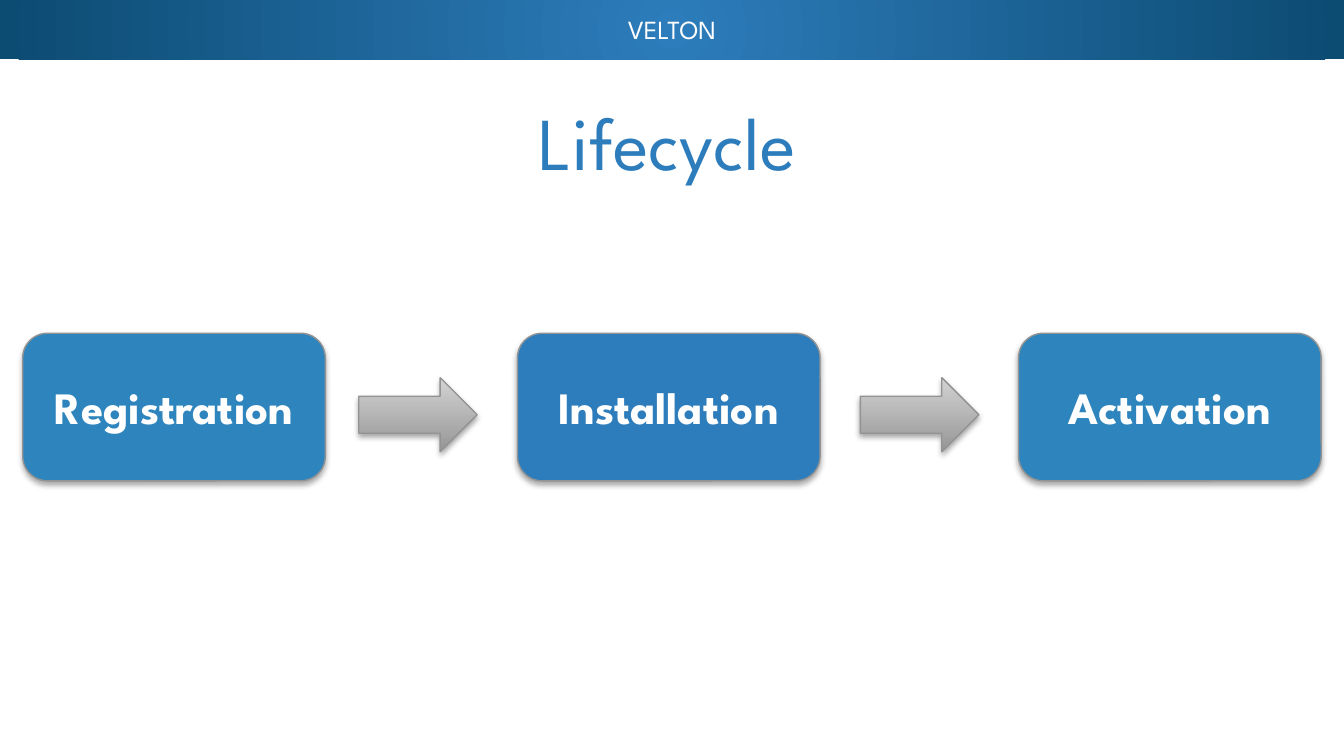
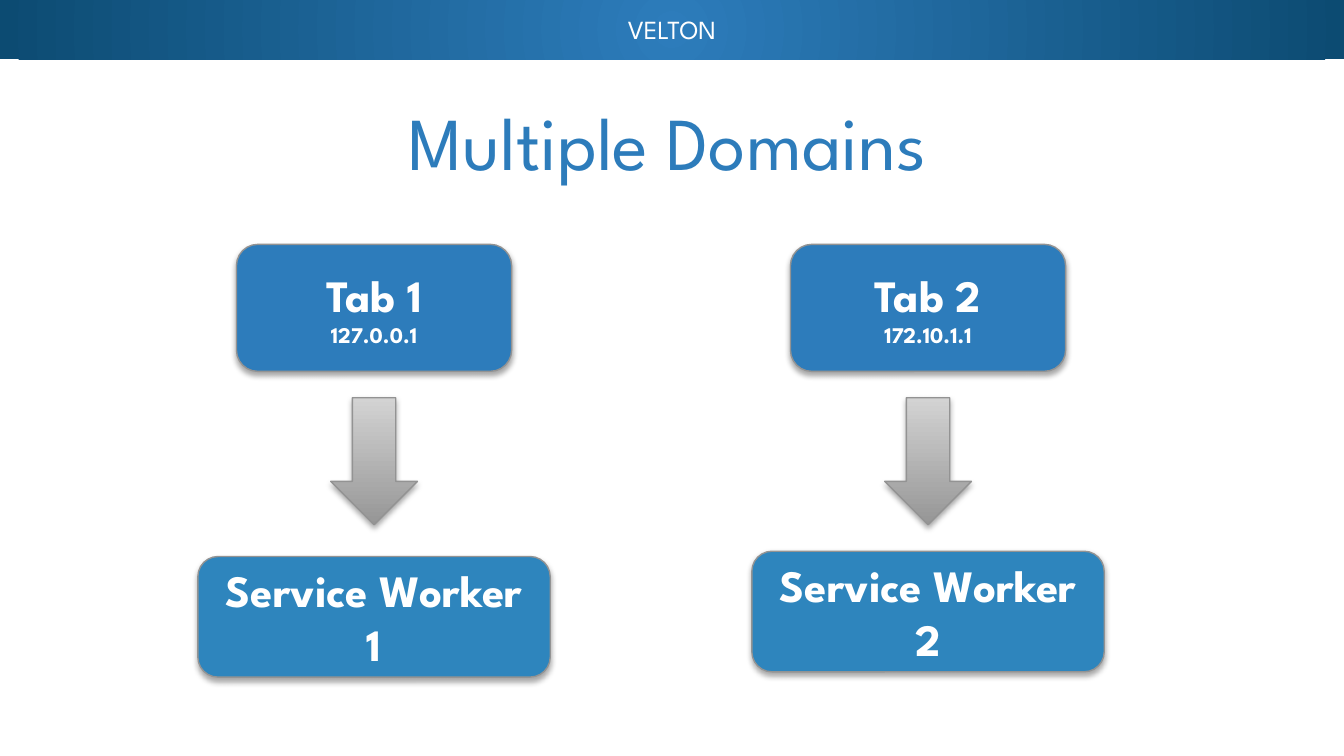
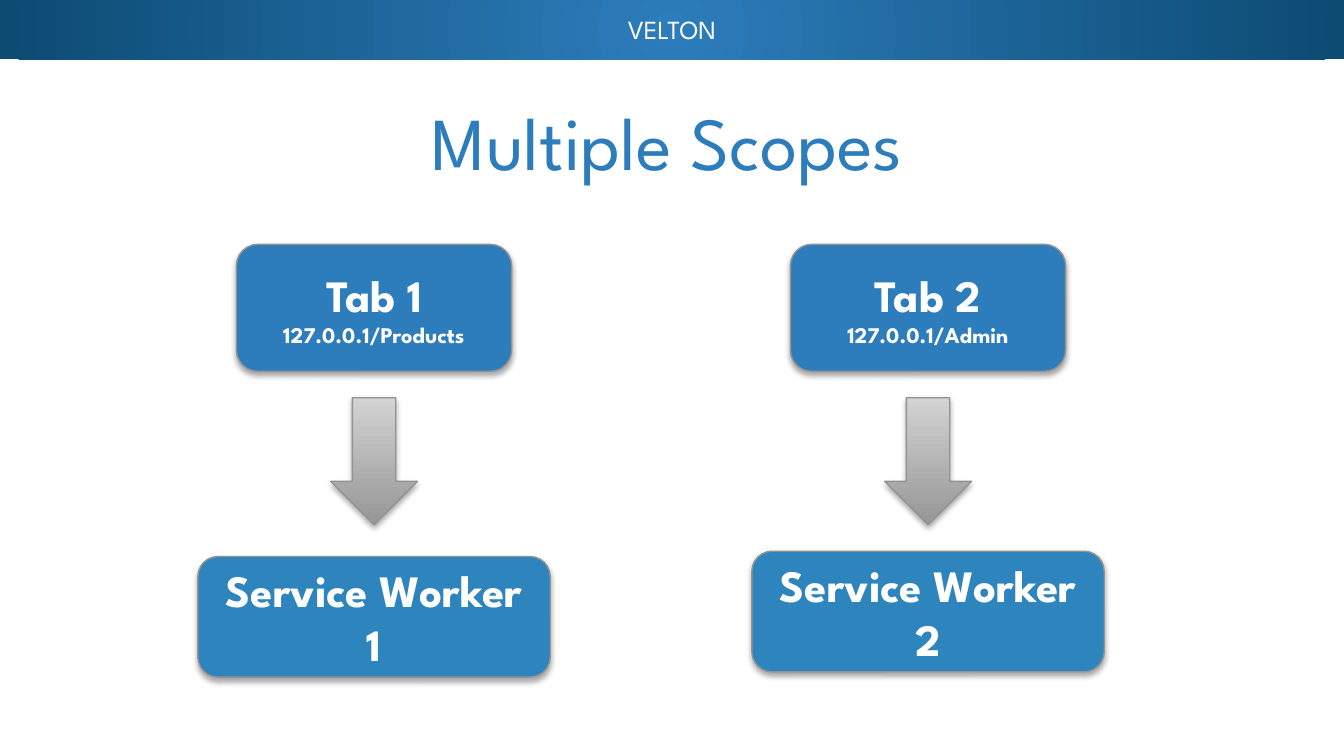
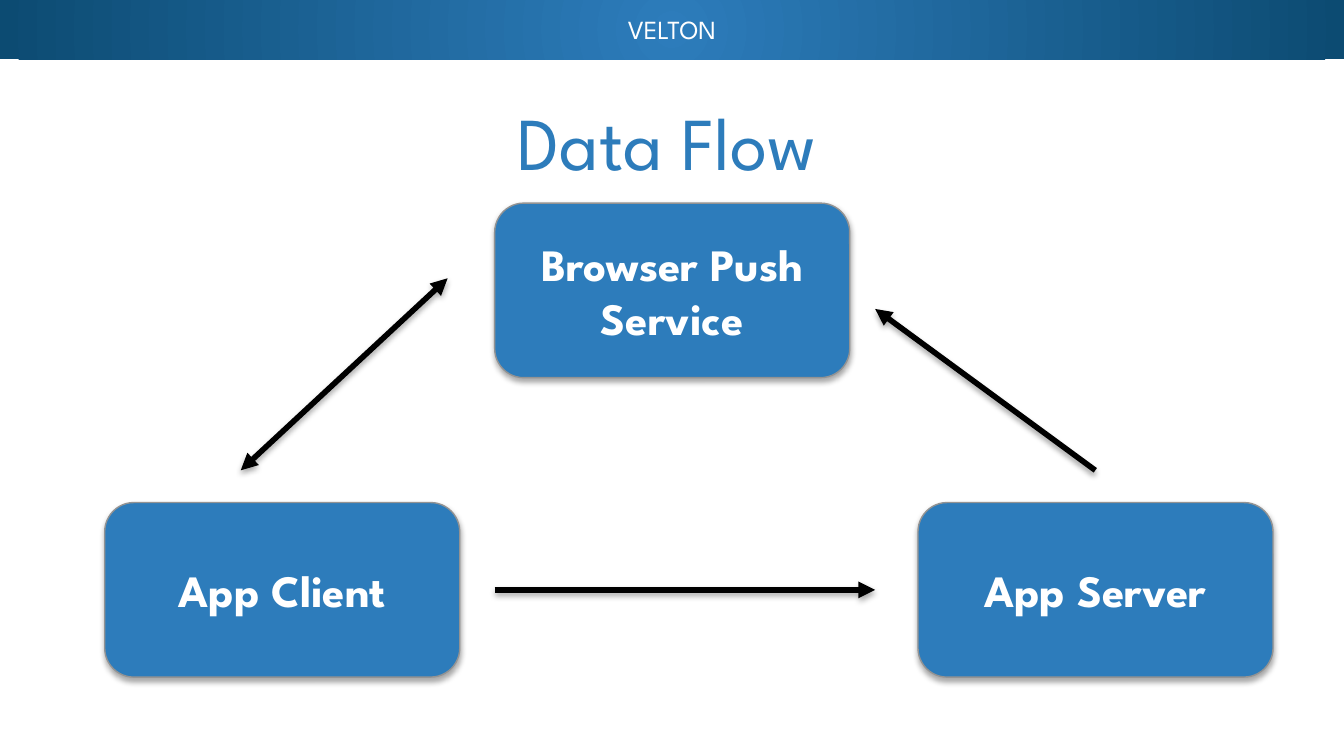
from lxml.etree import SubElement
from pptx import Presentation
from pptx.dml.color import RGBColor
from pptx.enum.shapes import MSO_CONNECTOR, MSO_SHAPE
from pptx.enum.text import MSO_ANCHOR, PP_ALIGN
from pptx.oxml.ns import qn
from pptx.util import Cm, Pt

FONT = "League Spartan"
BRAND = "VELTON"
WIDE, HIGH = 25.4, 14.29
COLORS = {
    "blue": "2D7CBB",
    "teal": "2E85BD",
    "navy": "0C4B72",
    "edge": "939393",
    "dark": "969696",
    "pale": "D3D3D3",
    "black": "000000",
    "white": "FFFFFF",
}


def rgb(name):
    return RGBColor.from_string(COLORS[name])


def write(shape, *lines, sizes=(24,), color="white", bold=False,
          anchor=MSO_ANCHOR.MIDDLE):
    """Fill a shape with centred lines, one size for each line."""
    frame = shape.text_frame
    frame.word_wrap = True
    frame.vertical_anchor = anchor
    for i, (line, size) in enumerate(zip(lines, sizes)):
        para = frame.add_paragraph() if i else frame.paragraphs[0]
        para.alignment = PP_ALIGN.CENTER
        run = para.add_run()
        run.text = line
        font = run.font
        font.name, font.size, font.bold = FONT, Pt(size), bold
        font.color.rgb = rgb(color)


def label(slide, text, left, top, width, height, **style):
    box = slide.shapes.add_textbox(Cm(left), Cm(top), Cm(width), Cm(height))
    write(box, text, **style)
    return box


def blend(shape, first, last, angle=0):
    """Give a shape a gradient of two colours."""
    shape.fill.gradient()
    shape.fill.gradient_angle = angle
    for stop, name in zip(shape.fill.gradient_stops, (first, last)):
        stop.color.rgb = rgb(name)


def shade(item):
    """Add a soft shadow below; call after fill and line are set."""
    effects = SubElement(item._element.spPr, qn("a:effectLst"))
    outer = SubElement(effects, qn("a:outerShdw"), blurRad="40000",
                       dist="23000", dir="5400000", rotWithShape="0")
    tint = SubElement(outer, qn("a:srgbClr"), val=COLORS["black"])
    SubElement(tint, qn("a:alpha"), val="35000")


def form(slide, kind, left, top, width, height):
    shape = slide.shapes.add_shape(kind, Cm(left), Cm(top), Cm(width), Cm(height))
    shape.line.color.rgb = rgb("edge")
    shape.line.width = Pt(0.75)
    return shape


def card(slide, lines, left, top, width, height, fill="blue"):
    shape = form(slide, MSO_SHAPE.ROUNDED_RECTANGLE, left, top, width, height)
    shape.fill.solid()
    shape.fill.fore_color.rgb = rgb(fill)
    shade(shape)
    write(shape, *lines, sizes=(24, 12), bold=True)


def arrow(slide, kind, left, top, width, height):
    shape = form(slide, kind, left, top, width, height)
    blend(shape, "dark", "pale", angle=90)
    shade(shape)


def link(slide, start, end, both=False):
    line = slide.shapes.add_connector(
        MSO_CONNECTOR.STRAIGHT, *(Cm(n) for n in (*start, *end)))
    line.line.color.rgb = rgb("black")
    line.line.width = Pt(3)
    stroke = line._element.spPr.find(qn("a:ln"))
    for tag in ("a:headEnd", "a:tailEnd") if both else ("a:tailEnd",):
        SubElement(stroke, qn(tag), type="triangle")
    shade(line)


def band(slide):
    """Top band, shaded outward from its centre, with the brand name."""
    bar = slide.shapes.add_shape(MSO_SHAPE.RECTANGLE, 0, 0, Cm(WIDE), Cm(1.12))
    bar.shadow.inherit = False
    bar.line.fill.background()
    blend(bar, "blue", "navy")
    grad = bar._element.spPr.find(qn("a:gradFill"))
    grad.remove(grad.find(qn("a:lin")))
    ring = SubElement(grad, qn("a:path"), path="circle")
    SubElement(ring, qn("a:fillToRect"), l="50000", t="50000", r="50000", b="50000")
    label(slide, BRAND, 0, -0.3, WIDE, 1.27, sizes=(14,), anchor=MSO_ANCHOR.BOTTOM)


def start(deck, title):
    slide = deck.slides.add_slide(deck.slide_layouts[6])
    band(slide)
    head = label(slide, title, 1.19, 1.47, 22.86, 2.39, sizes=(40,), color="blue")
    frame = head.text_frame
    frame.margin_left, frame.margin_right = Cm(0.18), Cm(0.2)
    frame.margin_top = frame.margin_bottom = Cm(0.1)
    return slide


def cycle(deck):
    slide = start(deck, "Lifecycle")
    steps = (("Registration", 0.43, "teal"), ("Installation", 9.78, "blue"),
             ("Activation", 19.25, "teal"))
    for name, left, fill in steps:
        card(slide, [name], left, 6.3, 5.72, 2.79, fill)
    for left in (6.78, 16.26):
        arrow(slide, MSO_SHAPE.RIGHT_ARROW, left, 7.14, 2.24, 1.4)


def tabs(deck, title, hosts):
    """One column for each host: tab, arrow and service worker."""
    slide = start(deck, title)
    for i, host in enumerate(hosts):
        mid = 7.07 + i * 10.47
        card(slide, [f"Tab {i + 1}", host], mid - 2.6, 4.62, 5.2, 2.4)
        card(slide, [f"Service Worker {i + 1}"],
             mid - 3.33, 10.52 - i * 0.1, 6.66, 2.28, "teal")
        arrow(slide, MSO_SHAPE.DOWN_ARROW, mid - 0.82, 7.52, 1.64, 2.4)


def flow(deck):
    slide = start(deck, "Data Flow")
    nodes = (("App Client", 1.98, 9.5), ("App Server", 17.35, 9.5),
             ("Browser Push Service", 9.35, 3.84))
    for name, left, top in nodes:
        card(slide, [name], left, top, 6.71, 3.3)
    link(slide, (4.55, 8.89), (8.46, 5.26), both=True)
    link(slide, (20.7, 8.89), (16.54, 5.84))
    link(slide, (9.35, 11.15), (16.54, 11.15))


def main():
    deck = Presentation()
    deck.slide_width, deck.slide_height = Cm(WIDE), Cm(HIGH)
    cycle(deck)
    tabs(deck, "Multiple Domains", ("127.0.0.1", "172.10.1.1"))
    tabs(deck, "Multiple Scopes", ("127.0.0.1/Products", "127.0.0.1/Admin"))
    flow(deck)
    deck.save("out.pptx")


if __name__ == "__main__":
    main()
